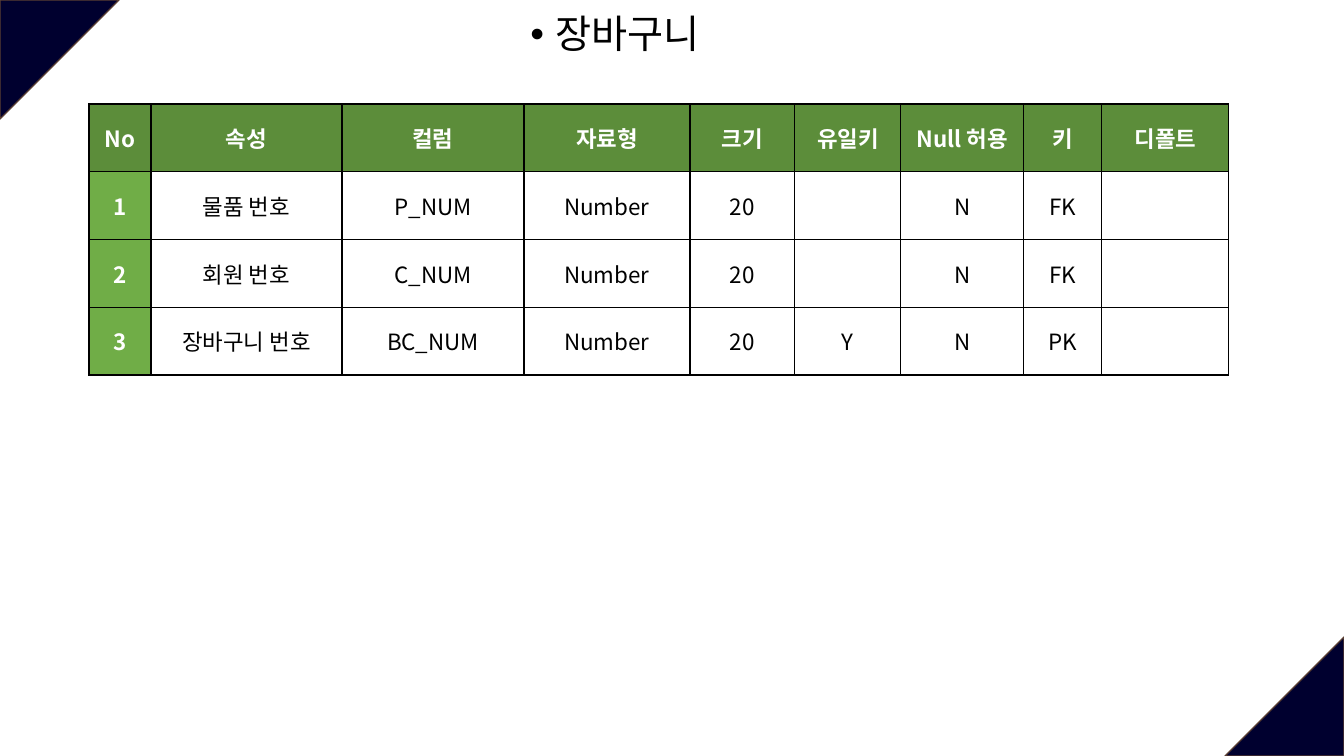
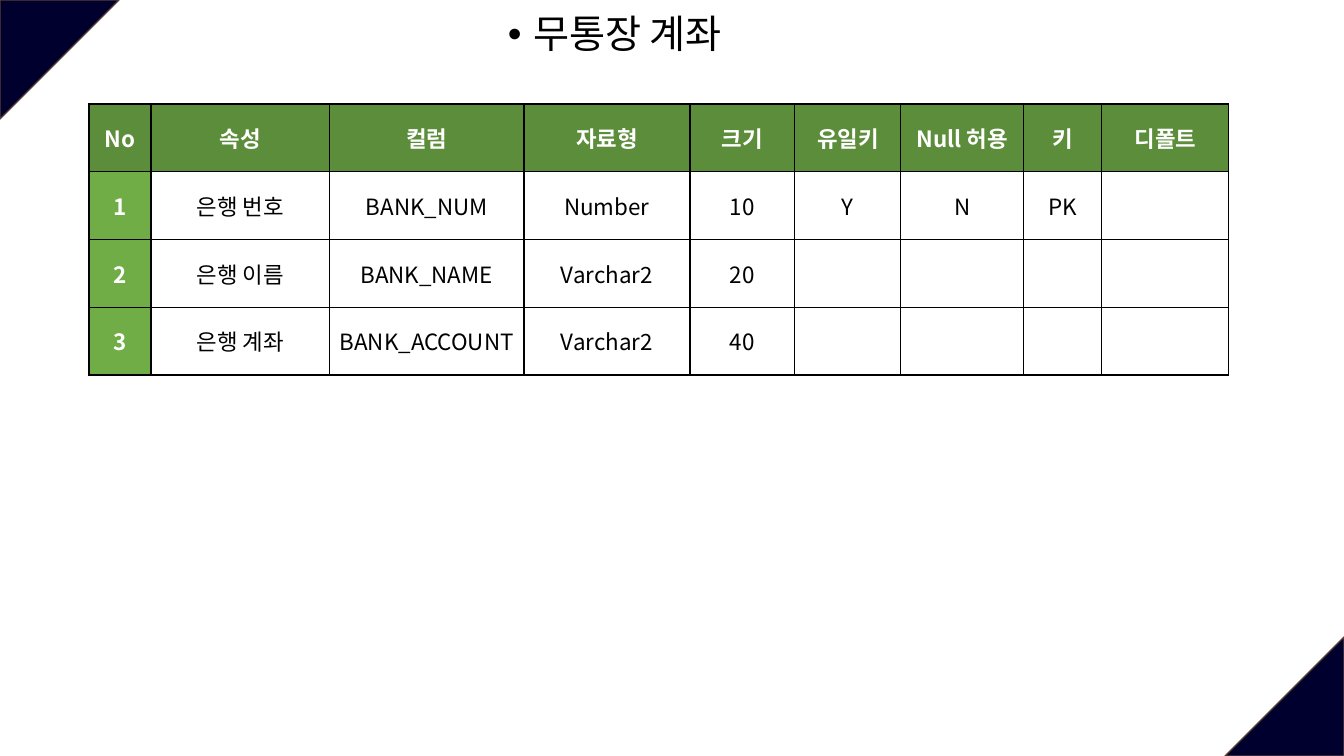
"""Build two database table definition slides."""
from dataclasses import dataclass

from lxml import etree
from pptx import Presentation
from pptx.dml.color import RGBColor
from pptx.enum.shapes import MSO_SHAPE
from pptx.enum.text import MSO_ANCHOR, MSO_AUTO_SIZE, PP_ALIGN
from pptx.oxml.ns import qn
from pptx.util import Emu, Pt

TRIANGLE = MSO_SHAPE.ISOSCELES_TRIANGLE
MIDDLE = MSO_ANCHOR.MIDDLE
CENTER = PP_ALIGN.CENTER
NO_FIT = MSO_AUTO_SIZE.NONE
TITLE_ONLY = 5
PLAIN_TABLE = "{2D5ABB26-0587-4C30-8999-92F81FD0307C}"
WIDTH, HEIGHT = 1344, 756
CORNER = 119
ROW_HEIGHT = 67.75
HEADINGS = ["No", "속성", "컬럼", "자료형", "크기", "유일키", "Null 허용", "키", "디폴트"]
SHARED_WIDTHS = [166, 105, 106, 123, 78, 127]


@dataclass(frozen=True)
class Theme:
    """Colours, font and sizes shared by the slides."""

    font: str = "Noto Sans CJK KR"
    title_size: int = 28
    cell_size: int = 16
    line_width: int = 1
    navy: str = "00002F"
    brown: str = "5B3F33"
    header: str = "5C8D3A"
    number: str = "70AD47"
    black: str = "000000"
    white: str = "FFFFFF"


THEME = Theme()


def px(length):
    """Turn pixels into EMU."""
    return Emu(round(length * 914400 / 100.8))


def rgb(code):
    """Turn a hexadecimal code into a colour."""
    return RGBColor.from_string(code)


def style_paragraph(para, size, color, bold=False):
    """Centre a paragraph and set its font for Latin and Korean text."""
    para.alignment = CENTER
    para.font.size = Pt(size)
    para.font.bold = bold
    para.font.color.rgb = rgb(color)
    para.font.name = THEME.font
    defaults = para._p.get_or_add_pPr().find(qn("a:defRPr"))
    etree.SubElement(defaults, qn("a:ea"), typeface=THEME.font)


def add_bullet(para):
    """Give a paragraph a round bullet with a hanging indent."""
    props = para._p.get_or_add_pPr()
    props.set("marL", str(px(25.2)))
    props.set("indent", str(-px(25.2)))
    etree.SubElement(props, qn("a:buFont"), typeface="Arial")
    etree.SubElement(props, qn("a:buChar"), char="•")


def set_title(page, text):
    """Place and format the bulleted title."""
    title = page.shapes.title
    title.left, title.top = px(187), px(-48)
    title.width, title.height = px(856), px(148)
    frame = title.text_frame
    frame.text = text
    frame.word_wrap = True
    frame.auto_size = NO_FIT
    frame.vertical_anchor = MIDDLE
    frame.margin_top, frame.margin_bottom = px(25), px(5)
    para = frame.paragraphs[0]
    add_bullet(para)
    para.line_spacing = 0.9
    para.space_before = Pt(0)
    style_paragraph(para, THEME.title_size, THEME.black)


def add_corner(page, left, top, rotation):
    """Draw a corner triangle and move it to the shared layout."""
    corner = page.shapes.add_shape(TRIANGLE, px(left), px(top), px(CORNER), px(CORNER))
    corner.adjustments[0] = 0
    corner.rotation = rotation
    corner.shadow.inherit = False
    corner.fill.solid()
    corner.fill.fore_color.rgb = rgb(THEME.navy)
    corner.line.color.rgb = rgb(THEME.brown)
    corner.line.width = Pt(THEME.line_width)
    return corner


def decorate_layout(layout, page):
    """Put both corner triangles on the layout behind every slide."""
    for holder in list(layout.placeholders)[1:]:
        holder.element.getparent().remove(holder.element)
    corners = [
        add_corner(page, 0, 0, 90),
        add_corner(page, WIDTH - CORNER, HEIGHT - CORNER, 270),
    ]
    for corner in corners:
        layout.shapes.element.append(corner.element)


def add_borders(cell):
    """Draw black lines on the four sides of a cell."""
    props = cell._tc.get_or_add_tcPr()
    for side in ("lnL", "lnR", "lnT", "lnB"):
        line = etree.SubElement(props, qn(f"a:{side}"), w=str(Pt(THEME.line_width)))
        fill = etree.SubElement(line, qn("a:solidFill"))
        etree.SubElement(fill, qn("a:srgbClr"), val=THEME.black)


def fill_cell(cell, text, fill=None):
    """Write a cell; filled cells carry bold white text."""
    add_borders(cell)
    cell.vertical_anchor = MIDDLE
    cell.margin_left = cell.margin_right = px(6)
    cell.margin_top = cell.margin_bottom = px(6)
    if fill:
        cell.fill.solid()
        cell.fill.fore_color.rgb = rgb(fill)
    else:
        cell.fill.background()
    if text:
        cell.text = text
        color = THEME.white if fill else THEME.black
        style_paragraph(cell.text_frame.paragraphs[0], THEME.cell_size, color, bool(fill))


def add_definition_table(page, widths, records):
    """Add the attribute table with a header row and numbered records."""
    rows = [HEADINGS] + [[str(number), *record] for number, record in enumerate(records, 1)]
    frame = page.shapes.add_table(
        len(rows), len(widths), px(89), px(104), px(sum(widths)), px(ROW_HEIGHT * len(rows))
    )
    table = frame.table
    table.first_row = table.horz_banding = False
    table._tbl.tblPr.find(qn("a:tableStyleId")).text = PLAIN_TABLE
    for column, width in zip(table.columns, widths):
        column.width = px(width)
    for row_index, values in enumerate(rows):
        table.rows[row_index].height = px(ROW_HEIGHT)
        for column_index, value in enumerate(values):
            fill = THEME.number if column_index == 0 else None
            fill = THEME.header if row_index == 0 else fill
            fill_cell(table.cell(row_index, column_index), value, fill)


def main():
    """Build and save the deck."""
    deck = Presentation()
    deck.slide_width, deck.slide_height = px(WIDTH), px(HEIGHT)
    layout = deck.slide_layouts[TITLE_ONLY]
    cart = [
        ["물품 번호", "P_NUM", "Number", "20", "", "N", "FK", ""],
        ["회원 번호", "C_NUM", "Number", "20", "", "N", "FK", ""],
        ["장바구니 번호", "BC_NUM", "Number", "20", "Y", "N", "PK", ""],
    ]
    account = [
        ["은행 번호", "BANK_NUM", "Number", "10", "Y", "N", "PK", ""],
        ["은행 이름", "BANK_NAME", "Varchar2", "20", "", "", "", ""],
        ["은행 계좌", "BANK_ACCOUNT", "Varchar2", "40", "", "", "", ""],
    ]
    contents = [
        ("장바구니", [62, 191, 182], cart),
        ("무통장 계좌", [62, 178.5, 194.5], account),
    ]
    for index, (title, widths, records) in enumerate(contents):
        page = deck.slides.add_slide(layout)
        if index == 0:
            decorate_layout(layout, page)
        set_title(page, title)
        add_definition_table(page, widths + SHARED_WIDTHS, records)
    deck.save("out.pptx")


main()
